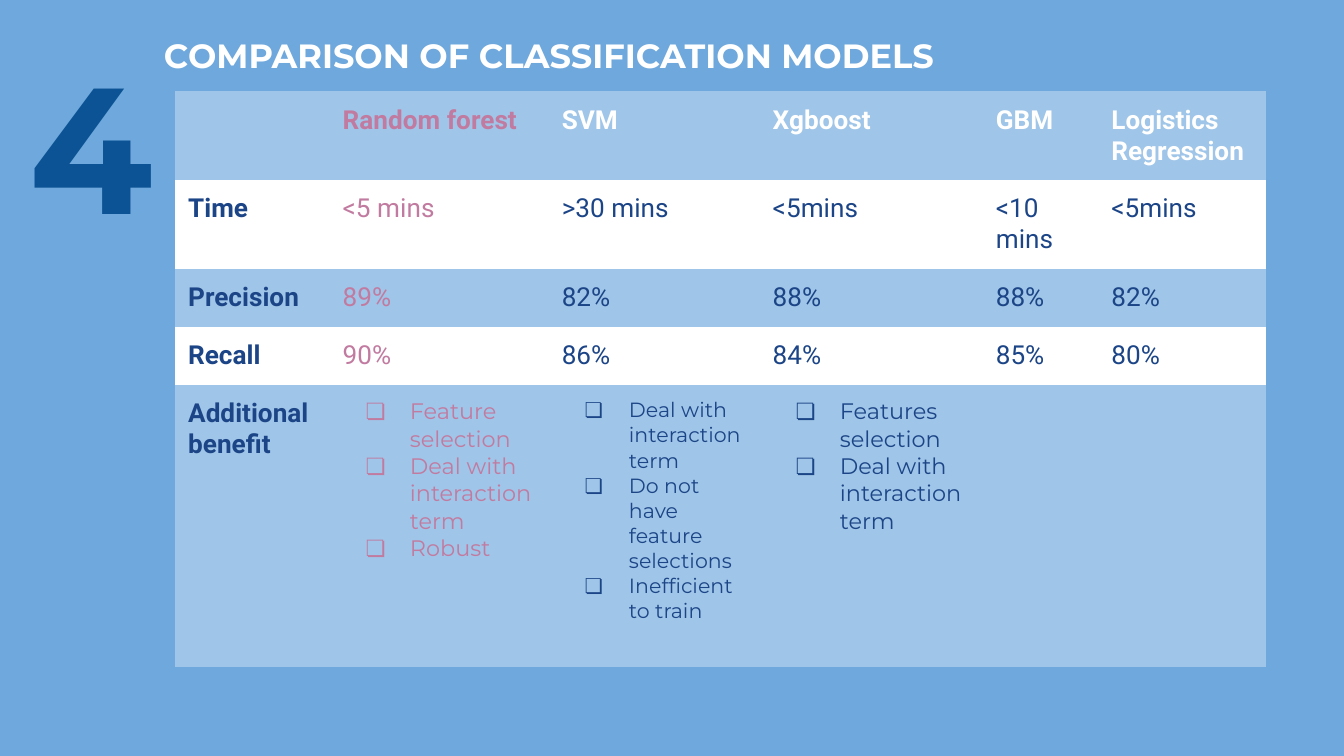
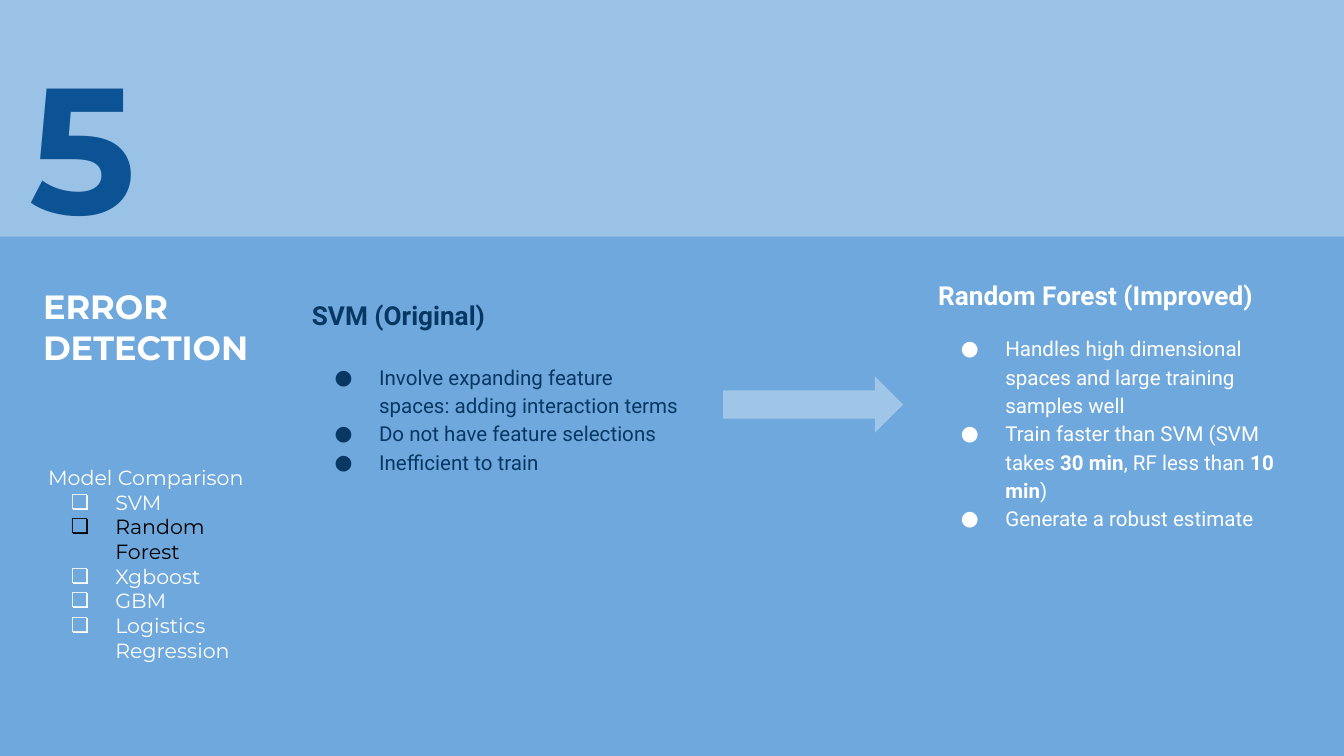
from dataclasses import dataclass
from typing import Any, Optional

from lxml import etree
from pptx import Presentation
from pptx import util as u
from pptx.dml.color import RGBColor
from pptx.enum import shapes, text
from pptx.oxml.ns import qn

SLIDE_WIDTH = u.Inches(10)
SLIDE_HEIGHT = u.Inches(5.625)


@dataclass(frozen=True)
class Theme:
    background: str = "6FA8DC"
    panel: str = "9FC5E8"
    white: str = "FFFFFF"
    black: str = "000000"
    number: str = "0B5394"
    navy: str = "1C4587"
    deep: str = "073763"
    winner: str = "C27BA0"
    display: str = "Montserrat"
    body: str = "Roboto"
    number_size: int = 96
    title_size: int = 18
    heading_size: int = 14
    list_size: int = 12
    small_size: int = 11


THEME = Theme()
CHECK, DOT = "❏", "●"
PLAIN_TABLE = "{2D5ABB26-0587-4C30-8999-92F81FD0307C}"


@dataclass(frozen=True)
class Area:
    """A rectangle in percent of the slide's width and height."""
    left: float
    top: float
    width: float
    height: float


@dataclass(frozen=True)
class Benefit:
    items: tuple[str, ...]
    size: int = THEME.list_size


@dataclass(frozen=True)
class ModelCard:
    heading: str
    points: tuple[str, ...]
    area: Area
    color: str
    gap: float
    anchor: Any = text.MSO_ANCHOR.TOP
    bottom: float = 0.05


NUMBER_AREA = Area(1.2, 2.84, 19.8, 24.36)
TABLE_LEFT, TABLE_TOP = 13, 12.09
COLUMNS = (11.5, 16.3, 15.7, 16.6, 8.6, 12.5)
ROWS = (11.73, 11.73, 7.64, 7.64, 37.33)

COMPARISON = (
    ("", "Random forest", "SVM", "Xgboost", "GBM", "Logistics Regression"),
    ("Time", "<5 mins", ">30 mins", "<5mins", "<10\nmins", "<5mins"),
    ("Precision", "89%", "82%", "88%", "88%", "82%"),
    ("Recall", "90%", "86%", "84%", "85%", "80%"),
    (
        "Additional benefit",
        Benefit(("Feature selection", "Deal with interaction term", "Robust")),
        Benefit(("Deal with interaction term", "Do not have feature selections",
                 "Inefficient to train"), THEME.small_size),
        Benefit(("Features selection", "Deal with interaction term")),
        "",
        "",
    ),
)

MODELS = ("SVM", "Random Forest", "Xgboost", "GBM", "Logistics Regression")
CHOSEN_MODEL = "Random Forest"

CARDS = (
    ModelCard(
        "SVM (Original)",
        ("Involve expanding feature spaces: adding interaction terms",
         "Do not have feature selections",
         "Inefficient to train"),
        Area(22.2, 42.67, 29.9, 25.07), THEME.deep, gap=16.4,
        anchor=text.MSO_ANCHOR.BOTTOM, bottom=0.28,
    ),
    ModelCard(
        "Random Forest (Improved)",
        ("Handles high dimensional spaces and large training samples well",
         "Train faster than SVM (SVM takes** 30 min**, RF less than **10 min**)",
         "Generate a robust estimate"),
        Area(68.8, 36.09, 29.1, 47.11), THEME.white, gap=11.7,
    ),
)


def across(share: float) -> int:
    return round(SLIDE_WIDTH * share / 100)


def down(share: float) -> int:
    return round(SLIDE_HEIGHT * share / 100)


def bounds(area: Area) -> tuple[int, int, int, int]:
    return across(area.left), down(area.top), across(area.width), down(area.height)


def rgb(color: str) -> RGBColor:
    return RGBColor.from_string(color)


def set_bullet(para: Any, bullet: Optional[str], color: str, font: str) -> None:
    props = para._p.get_or_add_pPr()
    props.set("marL", str(u.Inches(0.5) if bullet else 0))
    props.set("indent", str(u.Inches(-0.33) if bullet else 0))
    if not bullet:
        etree.SubElement(props, qn("a:buNone"))
        return
    bullet_color = etree.SubElement(props, qn("a:buClr"))
    etree.SubElement(bullet_color, qn("a:srgbClr"), val=color)
    etree.SubElement(props, qn("a:buFont"), typeface=font)
    etree.SubElement(props, qn("a:buChar"), char=bullet)


def write(frame: Any, words: str, *, size: int, color: str, font: str = THEME.body,
          bold: bool = False, bullet: Optional[str] = None,
          spacing: float = 1.0, after: float = 0) -> None:
    """Add one paragraph; words between ** marks switch to the other weight."""
    para = frame.add_paragraph() if frame.text else frame.paragraphs[0]
    para.alignment = text.PP_ALIGN.LEFT
    para.line_spacing = spacing
    para.space_before = u.Pt(0)
    para.space_after = u.Pt(after)
    set_bullet(para, bullet, color, font)
    for index, part in enumerate(words.split("**")):
        span = para.add_run()
        span.text = part
        span.font.name = font
        span.font.size = u.Pt(size)
        span.font.bold = bold != (index % 2 == 1)
        span.font.color.rgb = rgb(color)


def prepare_frame(box: Any, *, vertical: float = 0.1, bottom: Optional[float] = None,
                  anchor: Any = text.MSO_ANCHOR.TOP) -> Any:
    frame = box.text_frame
    frame.word_wrap = True
    frame.auto_size = text.MSO_AUTO_SIZE.NONE
    frame.vertical_anchor = anchor
    frame.margin_left = frame.margin_right = u.Inches(0.1)
    frame.margin_top = u.Inches(vertical)
    frame.margin_bottom = u.Inches(vertical if bottom is None else bottom)
    return frame


def place(box: Any, area: Area) -> None:
    box.left, box.top, box.width, box.height = bounds(area)


def add_title(page: Any, words: str, area: Area) -> None:
    box = page.shapes.title
    place(box, area)
    write(prepare_frame(box), words, size=THEME.title_size, color=THEME.white,
          font=THEME.display, bold=True)


def add_number(page: Any, number: int) -> None:
    box = page.shapes.add_textbox(*bounds(NUMBER_AREA))
    write(prepare_frame(box), str(number), size=THEME.number_size,
          color=THEME.number, font=THEME.display, bold=True)


def add_panel(page: Any, kind: Any, area: Area, color: str,
              opacity: int = 100) -> None:
    panel = page.shapes.add_shape(kind, *bounds(area))
    panel.shadow.inherit = False
    panel.line.fill.background()
    panel.fill.solid()
    panel.fill.fore_color.rgb = rgb(color)
    if opacity < 100:
        fill_color = panel._element.spPr.find(f".//{qn('a:srgbClr')}")
        etree.SubElement(fill_color, qn("a:alpha"), val=str(opacity * 1000))


def fill_cell(cell: Any, content: Any, row: int, column: int) -> None:
    cell.fill.solid()
    cell.fill.fore_color.rgb = rgb(THEME.white if row % 2 else THEME.panel)
    cell.margin_left = cell.margin_right = u.Inches(0.1)
    cell.margin_top = cell.margin_bottom = u.Inches(0.1)
    if not content:
        return
    color = THEME.winner if column == 1 else THEME.white if row == 0 else THEME.navy
    if isinstance(content, Benefit):
        for item in content.items:
            write(cell.text_frame, item, size=content.size, color=color,
                  font=THEME.display, bullet=CHECK)
        return
    for line in content.split("\n"):
        write(cell.text_frame, line, size=THEME.heading_size, color=color,
              bold=row == 0 or column == 0)


def add_comparison_table(page: Any) -> None:
    area = Area(TABLE_LEFT, TABLE_TOP, sum(COLUMNS), sum(ROWS))
    table = page.shapes.add_table(len(ROWS), len(COLUMNS), *bounds(area)).table
    table.first_row = table.horz_banding = False
    table._tbl.tblPr.find(qn("a:tableStyleId")).text = PLAIN_TABLE
    for column, share in zip(table.columns, COLUMNS):
        column.width = across(share)
    for row, share in zip(table.rows, ROWS):
        row.height = down(share)
    for row, contents in enumerate(COMPARISON):
        for column, content in enumerate(contents):
            fill_cell(table.cell(row, column), content, row, column)


def fill_card(box: Any, card: ModelCard) -> None:
    place(box, card.area)
    frame = prepare_frame(box, vertical=0.05, bottom=card.bottom, anchor=card.anchor)
    write(frame, card.heading, size=THEME.heading_size, color=card.color,
          bold=True, after=card.gap)
    for point in card.points:
        write(frame, point, size=THEME.small_size, color=card.color,
              bullet=DOT, spacing=1.15)


def add_model_list(page: Any) -> None:
    box = page.shapes.add_textbox(*bounds(Area(2.6, 59.73, 17, 24.36)))
    frame = prepare_frame(box)
    write(frame, "Model Comparison", size=THEME.small_size, color=THEME.white,
          font=THEME.display)
    for model in MODELS:
        write(frame, model, size=THEME.small_size, font=THEME.display, bullet=CHECK,
              color=THEME.black if model == CHOSEN_MODEL else THEME.white)


def build_comparison(deck: Any) -> None:
    page = deck.slides.add_slide(deck.slide_layouts.get_by_name("Title Only"))
    add_number(page, 4)
    add_comparison_table(page)
    add_title(page, "COMPARISON OF CLASSIFICATION MODELS",
              Area(11.2, 2.84, 69.6, 9.24))


def build_error_detection(deck: Any) -> None:
    page = deck.slides.add_slide(deck.slide_layouts.get_by_name("Two Content"))
    add_panel(page, shapes.MSO_SHAPE.RECTANGLE, Area(0, 0, 100, 31.29),
              THEME.white, opacity=30)
    add_title(page, "ERROR DETECTION", Area(2.2, 36.09, 18.7, 16.71))
    add_number(page, 5)
    for index, card in enumerate(CARDS, start=1):
        fill_card(page.placeholders[index], card)
    add_model_list(page)
    add_panel(page, shapes.MSO_SHAPE.RIGHT_ARROW, Area(53.8, 49.78, 13.4, 7.47),
              THEME.panel)


def main() -> None:
    deck = Presentation()
    deck.slide_width, deck.slide_height = SLIDE_WIDTH, SLIDE_HEIGHT
    backdrop = deck.slide_master.background.fill
    backdrop.solid()
    backdrop.fore_color.rgb = rgb(THEME.background)
    build_comparison(deck)
    build_error_detection(deck)
    deck.save("out.pptx")


if __name__ == "__main__":
    main()
